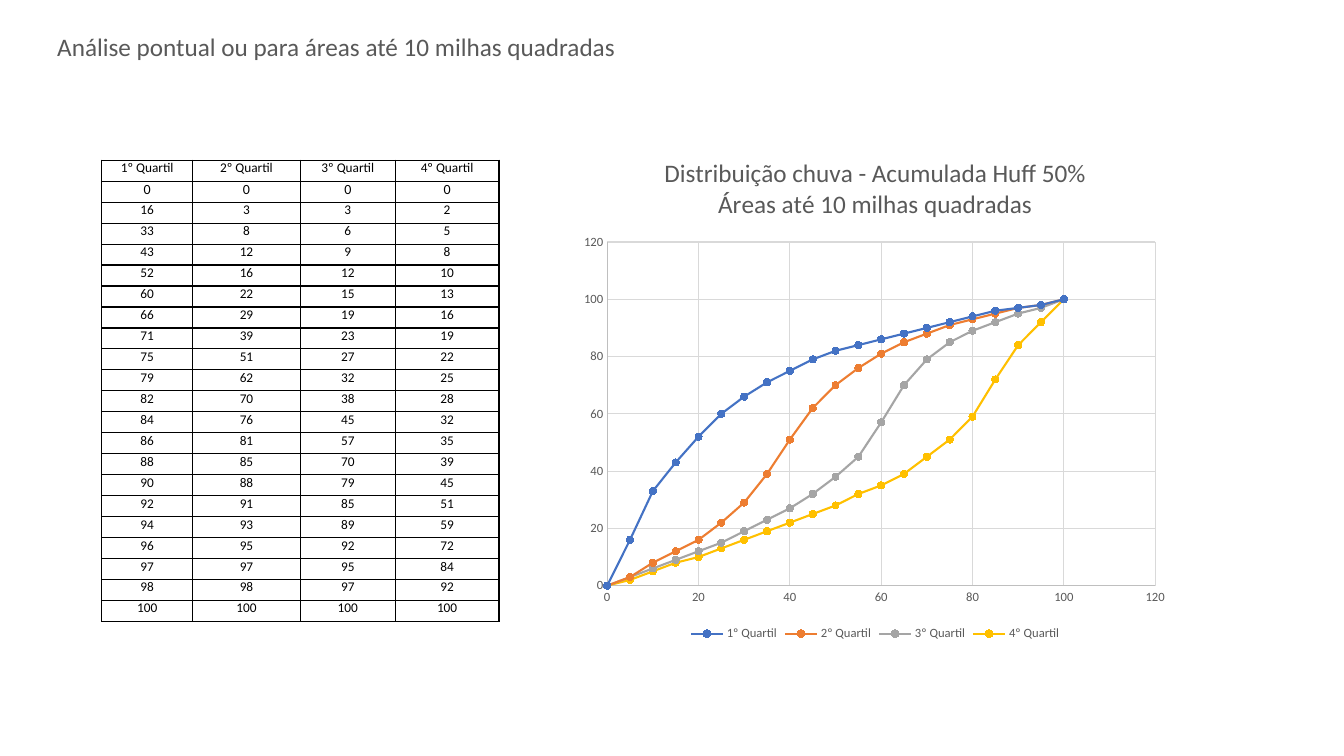
from lxml.etree import SubElement
from pptx import Presentation
from pptx.chart.data import XyChartData
from pptx.dml.color import RGBColor
from pptx.enum.chart import XL_CHART_TYPE, XL_LEGEND_POSITION, XL_MARKER_STYLE, XL_TICK_MARK
from pptx.enum.text import MSO_ANCHOR, MSO_AUTO_SIZE, PP_ALIGN
from pptx.oxml import parse_xml
from pptx.oxml.ns import nsdecls, qn
from pptx.util import Inches, Pt

BLACK = RGBColor(0x00, 0x00, 0x00)
GRAY = RGBColor(0x59, 0x59, 0x59)
AXIS = RGBColor(0xBF, 0xBF, 0xBF)
GRID = RGBColor(0xD9, 0xD9, 0xD9)
BLUE = RGBColor(0x44, 0x72, 0xC4)
ORANGE = RGBColor(0xED, 0x7D, 0x31)
SILVER = RGBColor(0xA5, 0xA5, 0xA5)
GOLD = RGBColor(0xFF, 0xC0, 0x00)

HEADING = "Análise pontual ou para áreas até 10 milhas quadradas"
CHART_TITLE = ["Distribuição chuva - Acumulada Huff 50%", "Áreas até 10 milhas quadradas"]
QUARTILES = {
    "1º Quartil": (BLUE, [0, 16, 33, 43, 52, 60, 66, 71, 75, 79, 82,
                          84, 86, 88, 90, 92, 94, 96, 97, 98, 100]),
    "2º Quartil": (ORANGE, [0, 3, 8, 12, 16, 22, 29, 39, 51, 62, 70,
                            76, 81, 85, 88, 91, 93, 95, 97, 98, 100]),
    "3º Quartil": (SILVER, [0, 3, 6, 9, 12, 15, 19, 23, 27, 32, 38,
                            45, 57, 70, 79, 85, 89, 92, 95, 97, 100]),
    "4º Quartil": (GOLD, [0, 2, 5, 8, 10, 13, 16, 19, 22, 25, 28,
                          32, 35, 39, 45, 51, 59, 72, 84, 92, 100]),
}
TIME_STEP = 5
COL_WIDTHS = [0.9, 1.07, 0.94, 1.03]
TABLE_AT = (1.01, 1.59, sum(COL_WIDTHS), 4.58)
CHART_AT = (5.68, 1.37, 6, 5.03)
HEADING_AT = (0, 0.26, 6.67, 0.4)
PLOT_SHARES = {"x": 0.057, "y": 0.205, "w": 0.906, "h": 0.678}


def style(font, size, color):
    for key, value in {"name": "Calibri", "size": Pt(size), "bold": False}.items():
        setattr(font, key, value)
    font.color.rgb = color


def stroke(line, color, width):
    line.color.rgb = color
    line.width = Pt(width)


def add_run(p, text, size, color):
    p.alignment = PP_ALIGN.CENTER
    r = p.add_run()
    r.text = text
    style(r.font, size, color)


def fill_cell(cell, text, size):
    for side in ("left", "right", "top", "bottom"):
        setattr(cell, f"margin_{side}", 0)
    cell.vertical_anchor = MSO_ANCHOR.TOP
    add_run(cell.text_frame.paragraphs[0], text, size, BLACK)
    tcPr = cell._tc.get_or_add_tcPr()
    for tag in ("a:lnL", "a:lnR", "a:lnT", "a:lnB"):
        ln = SubElement(tcPr, qn(tag), w=str(Pt(1)))
        SubElement(SubElement(ln, qn("a:solidFill")), qn("a:srgbClr"), val=str(BLACK))
    cell.fill.background()


def add_quartile_table(s):
    rows = [list(QUARTILES), *zip(*(vals for _, vals in QUARTILES.values()))]
    frame = s.shapes.add_table(len(rows), len(COL_WIDTHS), *map(Inches, TABLE_AT))
    table = frame.table
    table.first_row = table.horz_banding = False
    for col, width in zip(table.columns, COL_WIDTHS):
        col.width = Inches(width)
    for i, values in enumerate(rows):
        table.rows[i].height = Inches(TABLE_AT[3] / len(rows))
        for j, value in enumerate(values):
            fill_cell(table.cell(i, j), str(value), 10 if i == 1 else 9.5)


def add_rain_chart(s):
    data = XyChartData()
    for name, (_, vals) in QUARTILES.items():
        series = data.add_series(name)
        for i, val in enumerate(vals):
            series.add_data_point(i * TIME_STEP, val)
    chart = s.shapes.add_chart(XL_CHART_TYPE.XY_SCATTER_SMOOTH, *map(Inches, CHART_AT), data).chart
    style(chart.font, 10, BLACK)

    tf = chart.chart_title.text_frame
    for i, text in enumerate(CHART_TITLE):
        add_run(tf.add_paragraph() if i else tf.paragraphs[0], text, 18, GRAY)
    chart.chart_title.include_in_layout = False

    chart.has_legend = True
    chart.legend.position = XL_LEGEND_POSITION.BOTTOM
    chart.legend.include_in_layout = False
    style(chart.legend.font, 9, GRAY)

    for axis in (chart.category_axis, chart.value_axis):
        limits = {"minimum_scale": 0, "maximum_scale": 120, "major_unit": 20,
                  "has_major_gridlines": True, "major_tick_mark": XL_TICK_MARK.NONE,
                  "minor_tick_mark": XL_TICK_MARK.NONE}
        for key, value in limits.items():
            setattr(axis, key, value)
        style(axis.tick_labels.font, 9, GRAY)
        stroke(axis.format.line, AXIS, 0.75)
        stroke(axis.major_gridlines.format.line, GRID, 0.75)

    plot = chart.plots[0]
    plot.vary_by_categories = False
    for series, (color, _) in zip(plot.series, QUARTILES.values()):
        stroke(series.format.line, color, 1.5)
        series.marker.style = XL_MARKER_STYLE.CIRCLE
        series.marker.size = 5
        series.marker.format.fill.solid()
        series.marker.format.fill.fore_color.rgb = color
        stroke(series.marker.format.line, color, 0.75)

    area = chart._chartSpace.chart.plotArea
    for old in area.findall(qn("c:layout")):
        area.remove(old)
    shares = "".join(f'<c:{k} val="{v}"/>' for k, v in PLOT_SHARES.items())
    area.insert(0, parse_xml(
        f'<c:layout {nsdecls("c")}><c:manualLayout><c:layoutTarget val="inner"/>'
        f'<c:xMode val="edge"/><c:yMode val="edge"/>{shares}</c:manualLayout></c:layout>'))


def add_heading(s):
    tf = s.shapes.add_textbox(*map(Inches, HEADING_AT)).text_frame
    tf.word_wrap = True
    tf.auto_size = MSO_AUTO_SIZE.SHAPE_TO_FIT_TEXT
    add_run(tf.paragraphs[0], HEADING, 18, GRAY)


def main():
    prs = Presentation()
    prs.slide_width, prs.slide_height = Inches(13.33), Inches(7.5)
    s = prs.slides.add_slide(prs.slide_layouts[6])
    add_quartile_table(s)
    add_rain_chart(s)
    add_heading(s)
    prs.save("out.pptx")


if __name__ == "__main__":
    main()
